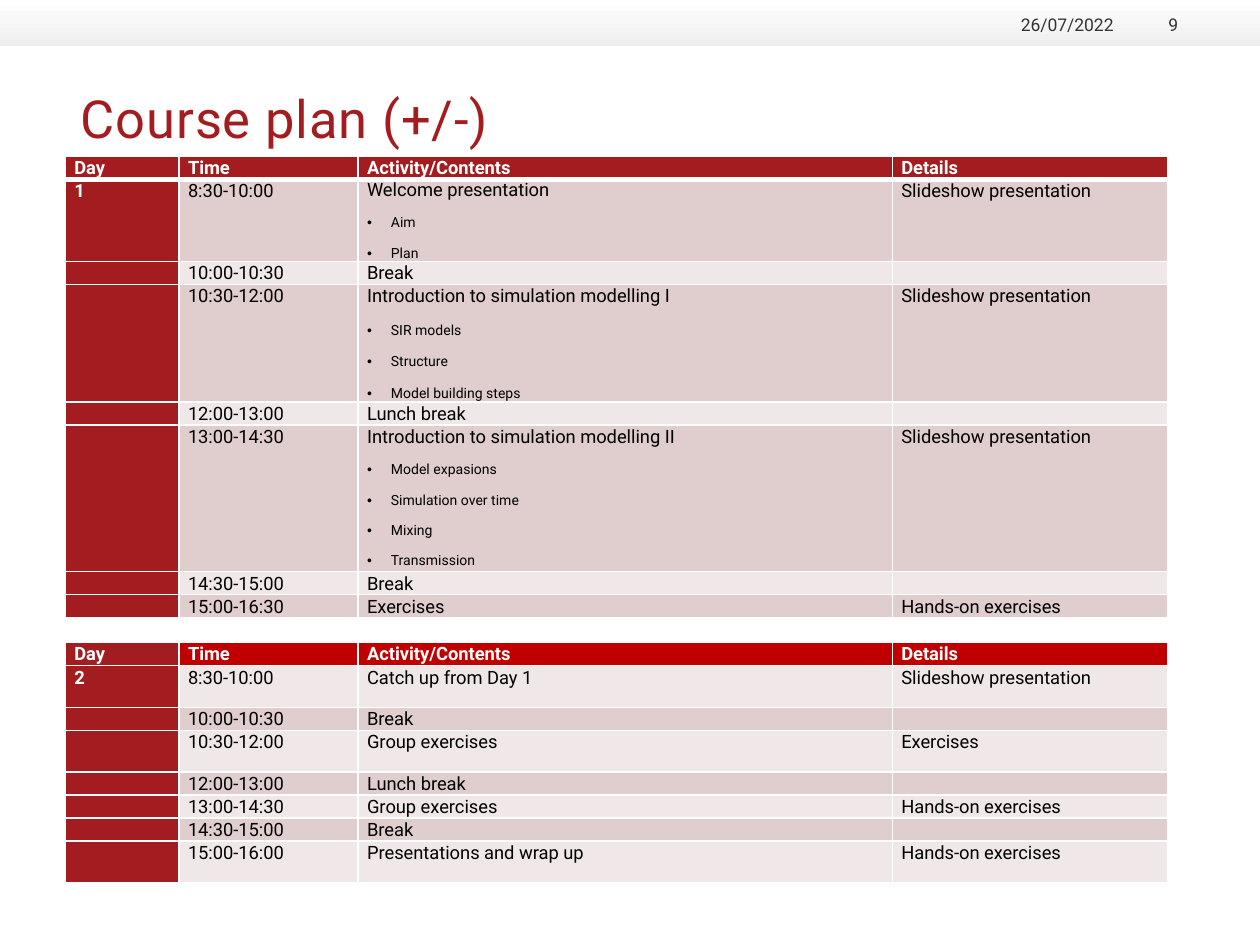
from pptx import Presentation
from pptx.dml.color import RGBColor
from pptx.enum.shapes import MSO_SHAPE
from pptx.enum.text import MSO_ANCHOR, MSO_AUTO_SIZE, PP_ALIGN
from pptx.oxml.ns import qn
from pptx.util import Cm, Pt
from lxml import etree

# Content: rows are (day, time, activity, details, height in cm)
HEADINGS = ("Day", "Time", "Activity/Contents", "Details")
SLIDES = "Slideshow presentation"
HANDS_ON = "Hands-on exercises"
DAY_1 = [
    ("1", "8:30-10:00", "Welcome presentation", SLIDES, 1.65),
    ("", "10:00-10:30", "Break", "", 0.45),
    ("", "10:30-12:00", "Introduction to simulation modelling I", SLIDES, 2.36),
    ("", "12:00-13:00", "Lunch break", "", 0.45),
    ("", "13:00-14:30", "Introduction to simulation modelling II", SLIDES, 2.96),
    ("", "14:30-15:00", "Break", "", 0.45),
    ("", "15:00-16:30", "Exercises", HANDS_ON, 0.46),
]
DAY_2 = [
    ("2", "8:30-10:00", "Catch up from Day 1", SLIDES, 0.84),
    ("", "10:00-10:30", "Break", "", 0.45),
    ("", "10:30-12:00", "Group exercises", "Exercises", 0.84),
    ("", "12:00-13:00", "Lunch break", "", 0.45),
    ("", "13:00-14:30", "Group exercises", HANDS_ON, 0.45),
    ("", "14:30-15:00", "Break", "", 0.45),
    ("", "15:00-16:00", "Presentations and wrap up", HANDS_ON, 0.84),
]
# Topics under an activity, with the line spacing of their bullets
TOPICS = {
    "Welcome presentation": (1.0, ["Aim", "Plan"]),
    "Introduction to simulation modelling I":
        (1.07, ["SIR models", "Structure", "Model building steps"]),
    "Introduction to simulation modelling II":
        (1.0, ["Model expasions", "Simulation over time", "Mixing", "Transmission"]),
}
FOOTER = [("26/07/2022", 20.19, 2.26), ("9", 22.71, 1.04)]  # text, left, width
COL_WIDTHS = (2.29, 3.61, 10.77, 5.56)

FONT = "Roboto"
RED = RGBColor(0xA3, 0x1D, 0x20)
BRIGHT_RED = RGBColor(0xC0, 0x00, 0x00)
PINK = RGBColor(0xE0, 0xCD, 0xCD)
PALE = RGBColor(0xF0, 0xE8, 0xE8)
WHITE = RGBColor(0xFF, 0xFF, 0xFF)
BLACK = RGBColor(0x00, 0x00, 0x00)
GREY = RGBColor(0x33, 0x33, 0x33)
BAR_GREY = RGBColor(0xEE, 0xEF, 0xEE)
RECT = MSO_SHAPE.RECTANGLE
TOP, BOTTOM = MSO_ANCHOR.TOP, MSO_ANCHOR.BOTTOM
RIGHT, LEFT = PP_ALIGN.RIGHT, PP_ALIGN.LEFT
NO_FIT = MSO_AUTO_SIZE.NONE


def add_run(p, text, size, color, bold=False):
    r = p.add_run()
    r.text = text
    r.font.name, r.font.size, r.font.bold = FONT, Pt(size), bold
    r.font.color.rgb = color
    return r


def setup_frame(tf, anchor):
    tf.margin_left = tf.margin_top = tf.margin_right = tf.margin_bottom = 0
    tf.word_wrap, tf.auto_size, tf.vertical_anchor = True, NO_FIT, anchor


def add_bullet(p):
    pPr = p._p.get_or_add_pPr()
    pPr.set("marL", str(Cm(0.48)))
    pPr.set("indent", str(-Cm(0.48)))
    etree.SubElement(pPr, qn("a:buFont")).set("typeface", "Arial")
    etree.SubElement(pPr, qn("a:buChar")).set("char", "•")


def add_borders(cell, bottom):
    tcPr = cell._tc.get_or_add_tcPr()
    sides = (("a:lnL", 1), ("a:lnR", 1), ("a:lnT", 1), ("a:lnB", bottom))
    for i, (tag, width) in enumerate(sides):
        ln = etree.Element(qn(tag), w=str(Pt(width)))
        fill = etree.SubElement(ln, qn("a:solidFill"))
        etree.SubElement(fill, qn("a:srgbClr")).set("val", str(WHITE))
        tcPr.insert(i, ln)


def fill_cell(cell, text, fill, color, bold, bottom):
    cell.fill.solid()
    cell.fill.fore_color.rgb = fill
    add_borders(cell, bottom)
    cell.margin_left = cell.margin_right = Cm(0.18)
    cell.margin_top = cell.margin_bottom = 0
    tf = cell.text_frame
    p = tf.paragraphs[0]
    if not text:
        p._p.get_or_add_endParaRPr().set("sz", "1050")
        return
    spacing, topics = TOPICS.get(text, (1.07, []))
    p.line_spacing = 1.0 if text == "Welcome presentation" else 1.07
    p.space_after = Pt(8)
    add_run(p, text, 10.5, color, bold)
    for topic in topics:
        p = tf.add_paragraph()
        p.line_spacing, p.space_after = spacing, Pt(8)
        add_bullet(p)
        add_run(p, topic, 8, color)


prs = Presentation()
prs.slide_width, prs.slide_height = Cm(25.4), Cm(19.05)
s = prs.slides.add_slide(prs.slide_layouts[5])

# Header bar
bar = s.shapes.add_shape(RECT, 0, 0, prs.slide_width, Cm(0.92))
bar.shadow.inherit = False
bar.line.fill.background()
bar.fill.gradient()
bar.fill.gradient_angle = 270
for stop, color, position in zip(bar.fill.gradient_stops, (WHITE, BAR_GREY), (0, 1)):
    stop.color.rgb, stop.position = color, position

# Date and page number
for text, left, width in FOOTER:
    box = s.shapes.add_textbox(Cm(left), Cm(0.23), Cm(width), Cm(0.48))
    setup_frame(box.text_frame, BOTTOM)
    p = box.text_frame.paragraphs[0]
    p.alignment = RIGHT
    add_run(p, text, 10, GREY)

# Title
title = s.shapes.title
title.left, title.top, title.width, title.height = Cm(1.63), Cm(1.73), Cm(22.2), Cm(2.41)
setup_frame(title.text_frame, TOP)
p = title.text_frame.paragraphs[0]
p.alignment = LEFT
r = add_run(p, "Course plan (+/-)", 30, RED)
r.font._element.set("spc", "50")

# Table rows: (texts, height, fill of the day column, fill of the rest, is heading)
rows = [(HEADINGS, 0.46, RED, RED, True)]
rows += [(row[:4], row[4], RED, (PINK, PALE)[i % 2], False) for i, row in enumerate(DAY_1)]
rows += [(("",) * 4, 0.49, WHITE, WHITE, False), (HEADINGS, 0.48, RED, BRIGHT_RED, True)]
rows += [(row[:4], row[4], RED, (PALE, PINK)[i % 2], False) for i, row in enumerate(DAY_2)]

# Course table
frame = s.shapes.add_table(len(rows), len(COL_WIDTHS), Cm(1.32), Cm(3.15),
                           Cm(sum(COL_WIDTHS)), Cm(sum(row[1] for row in rows)))
table = frame.table
for col, width in zip(table.columns, COL_WIDTHS):
    col.width = Cm(width)
for i, (texts, height, day_fill, fill, heading) in enumerate(rows):
    table.rows[i].height = Cm(height)
    for j, text in enumerate(texts):
        strong = heading or j == 0
        fill_cell(table.cell(i, j), text, day_fill if j == 0 else fill,
                  WHITE if strong else BLACK, strong, 3 if i == 0 else 1)

prs.save("out.pptx")
